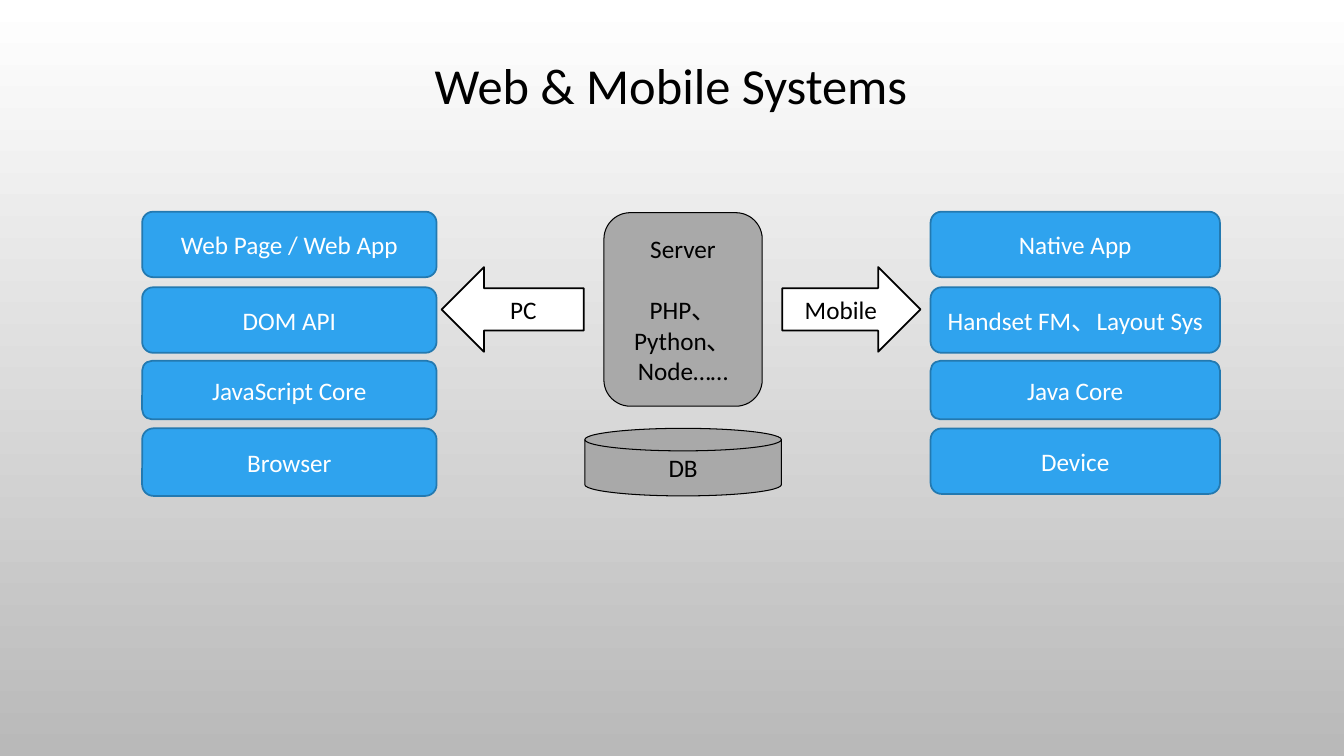
"""Build the Web & Mobile Systems architecture slide."""
from pptx import Presentation
from pptx.dml.color import RGBColor
from pptx.enum import shapes, text
from pptx.util import Inches, Pt

HEADING = "Web & Mobile Systems"
WEB_LAYERS = ["Web Page / Web App", "DOM API", "JavaScript Core", "Browser"]
MOBILE_LAYERS = ["Native App", "Handset FM、Layout Sys", "Java Core", "Device"]
SERVER = ["Server", "PHP、Python、Node……"]

THEME = {
    "font": "Calibri", "title_size": 36, "body_size": 18, "ink": "000000",
    "backdrop": ("FFFFFF", "B9B9B9"),
    "layer": {"fill": "2FA3EE", "line": "2379B0", "width": 1.25, "ink": "FFFFFF"},
    "store": {"fill": "A9A9A9", "line": "000000", "width": 0.75, "ink": "000000"},
    "arrow": {"fill": "FFFFFF", "line": "000000", "width": 1.25, "ink": "000000"},
}
KIND = shapes.MSO_SHAPE
ROW_TOPS = (2.1, 2.85, 3.58, 4.25)
STACKS = [
    (WEB_LAYERS, 1.41, 2.92, (0.65, 0.65, 0.58, 0.67)),
    (MOBILE_LAYERS, 9.23, 2.87, (0.65, 0.65, 0.58, 0.65)),
]
CENTRE = [
    (KIND.ROUNDED_RECTANGLE, "store", SERVER, (5.99, 2.11, 1.57, 1.92)),
    (KIND.FLOWCHART_MAGNETIC_DISK, "store", ["DB"], (5.8, 4.25, 1.95, 0.67)),
    (KIND.LEFT_ARROW, "arrow", ["PC"], (4.38, 2.65, 1.41, 0.84)),
    (KIND.RIGHT_ARROW, "arrow", ["Mobile"], (7.76, 2.65, 1.37, 0.84)),
]


def colour(code):
    """Turn a hex code into a colour."""
    return RGBColor.from_string(code)


def write(frame, lines, size, ink, spacing=1.0):
    """Fill a text frame with centred lines, one blank line's height apart."""
    frame.text = "\n".join(lines)
    frame.word_wrap = True
    frame.vertical_anchor = text.MSO_ANCHOR.MIDDLE
    for index, line in enumerate(frame.paragraphs):
        line_format = {"alignment": text.PP_ALIGN.CENTER, "line_spacing": spacing,
                       "space_before": Pt(22 if index else 0)}
        for name, value in line_format.items():
            setattr(line, name, value)
        for name, value in {"name": THEME["font"], "size": Pt(size)}.items():
            setattr(line.font, name, value)
        line.font.color.rgb = colour(ink)


def add_block(slide, kind, style_name, lines, box):
    """Add one labelled diagram block."""
    style = THEME[style_name]
    block = slide.shapes.add_shape(kind, *map(Inches, box))
    block.shadow.inherit = False
    block.fill.solid()
    block.fill.fore_color.rgb = colour(style["fill"])
    block.line.color.rgb = colour(style["line"])
    block.line.width = Pt(style["width"])
    write(block.text_frame, lines, THEME["body_size"], style["ink"])


def main():
    """Compose and save the slide."""
    deck = Presentation()
    deck.slide_width, deck.slide_height = Inches(13.33), Inches(7.5)
    slide = deck.slides.add_slide(deck.slide_layouts[5])

    backdrop = slide.background.fill
    backdrop.gradient()
    backdrop.gradient_angle = 270
    for stop, code in zip(backdrop.gradient_stops, THEME["backdrop"]):
        stop.color.rgb = colour(code)

    heading = slide.shapes.title
    place = {"left": 0.99, "top": 0, "width": 11.33, "height": 1.75}
    for name, value in place.items():
        setattr(heading, name, Inches(value))
    write(heading.text_frame, [HEADING], THEME["title_size"], THEME["ink"], 0.9)

    for layers, left, width, heights in STACKS:
        for layer, top, height in zip(layers, ROW_TOPS, heights):
            add_block(slide, KIND.ROUNDED_RECTANGLE, "layer", [layer],
                      (left, top, width, height))
    for kind, style_name, lines, box in CENTRE:
        add_block(slide, kind, style_name, lines, box)

    deck.save("out.pptx")


if __name__ == "__main__":
    main()
